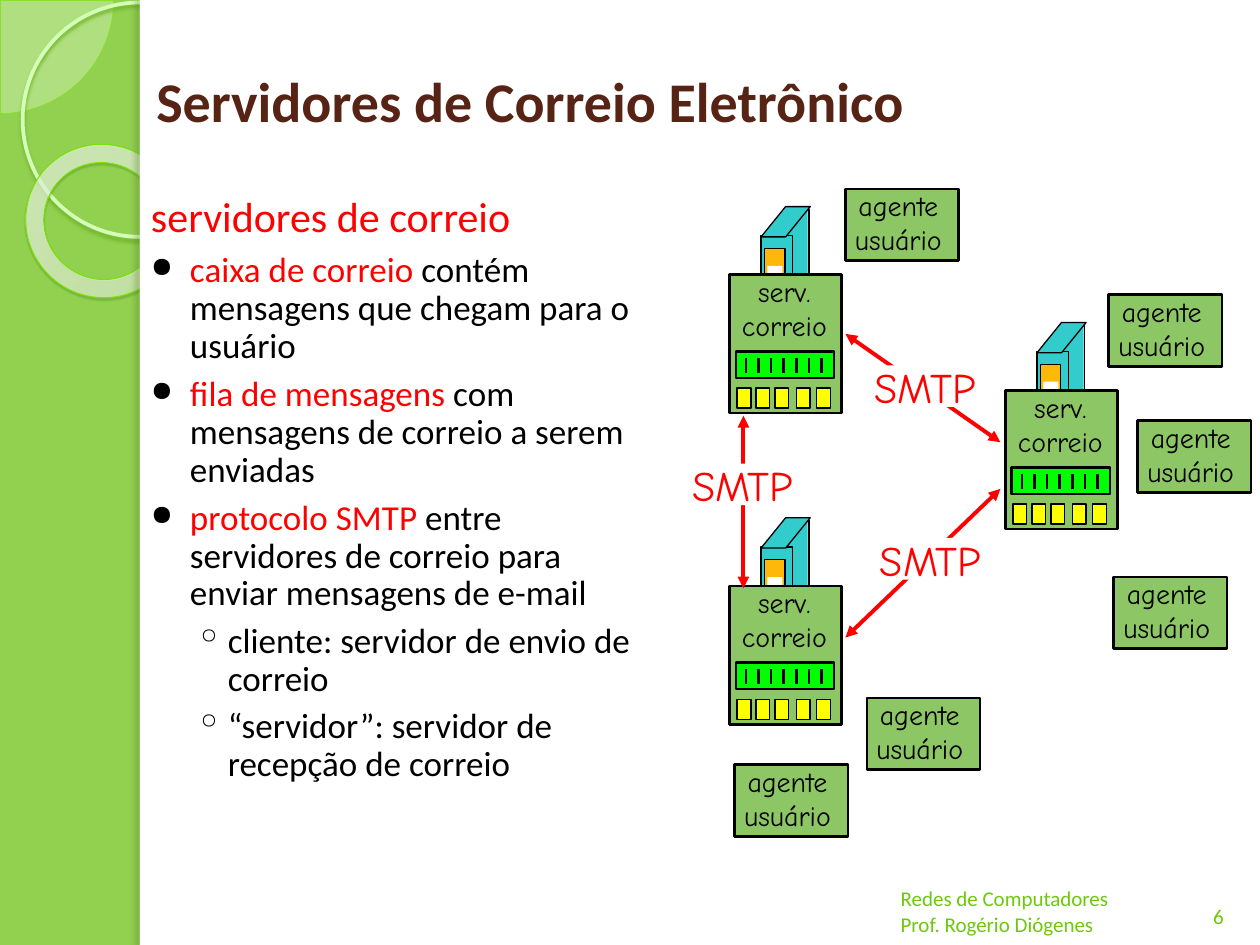
import pptx
import pptx.util
import pptx.dml.color
import pptx.enum.shapes
import pptx.enum.text
import pptx.oxml
import pptx.oxml.ns
from lxml import etree

RGB = pptx.dml.color.RGBColor
KIND = pptx.enum.shapes.MSO_SHAPE
ALIGN = pptx.enum.text.PP_ALIGN
ANCHOR = pptx.enum.text.MSO_ANCHOR
Pt = pptx.util.Pt
qn = pptx.oxml.ns.qn

EMU_PER_PX = 9144  # 100 px to the inch

BLACK, WHITE, RED = RGB(0, 0, 0), RGB(255, 255, 255), RGB(255, 0, 0)
BACKDROP, LEAF = RGB(0x92, 0xD0, 0x50), RGB(0xEE, 0xFF, 0xE4)
LEAF_EDGE, RING, DONUT_EDGE = RGB(0x7F, 0xE9, 0x0E), RGB(0xD3, 0xFF, 0xB6), RGB(0x77, 0xE4, 0x03)
TITLE_BROWN, FOOTER_GREEN = RGB(0x57, 0x23, 0x14), RGB(0x6D, 0xC9, 0x0C)
TOWER, DRIVE, BOX = RGB(0x33, 0xCC, 0xCC), RGB(0xFE, 0xB8, 0x0A), RGB(0x8D, 0xC7, 0x65)
DISPLAY, KEY = RGB(0, 255, 0), RGB(255, 255, 0)
BODY_FONT, DIAGRAM_FONT = "Calibri", "Comic Neue"

# Content
TITLE = "Servidores de Correio Eletrônico"
FOOTER = ["Redes de Computadores", "Prof. Rogério Diógenes"]
PAGE = "6"
# (style, red words, black words)
POINTS = [
    ("heading", "servidores de correio", ""),
    ("bullet", "caixa de correio", " contém mensagens que chegam para o usuário"),
    ("bullet", "fila de mensagens", " com mensagens de correio a serem enviadas"),
    ("bullet", "protocolo SMTP", " entre servidores de correio para enviar mensagens de e-mail"),
    ("sub", "", "cliente: servidor de envio de correio"),
    ("sub", "", "“servidor”: servidor de recepção de correio"),
]
# style: level, left margin, hanging indent, size, space before, bullet, bullet percent
STYLES = {
    "heading": (0, 40, 31, 24, 0, None, None),
    "bullet": (0, 40, 31, 20, 6, "●", 80),
    "sub": (1, 70, 26, 20, 5.5, "◦", 100),
}
SERVER_LINES, AGENT_LINES, LINK_LINES = ["serv.", "correio"], ["agente", "usuário"], ["SMTP"]
SERVERS = [(798, 310), (579, 465), (579, 218)]
AGENTS = [(903, 334), (880, 234), (884, 458), (671, 150), (688, 554), (583, 607)]
LINKS = [((671, 265), (794, 351)), ((671, 506), (794, 388)), ((590, 467), (590, 330))]
LINK_LABELS = [(691, 427), (687, 290), (542, 368)]
TICKS = [13 + 10 * i for i in range(7)]
KEYS = [6, 21, 36, 53, 69]


def px(*lengths):
    return [pptx.util.Emu(round(n * EMU_PER_PX)) for n in lengths]


def add_block(parent, kind, place, fill=None, edge=None, weight=0.75):
    block = parent.add_shape(kind, *px(*place))
    block.shadow.inherit = False
    if fill is None:
        block.fill.background()
    else:
        block.fill.solid()
        block.fill.fore_color.rgb = fill
    if edge is None:
        block.line.fill.background()
    else:
        block.line.color.rgb = edge
        block.line.width = Pt(weight)
    return block


def add_line(parent, start, end, color, weight, arrows=False):
    line = parent.add_connector(pptx.enum.shapes.MSO_CONNECTOR.STRAIGHT, *px(*start, *end))
    line.line.color.rgb = color
    line.line.width = Pt(weight)
    if arrows:
        for tag in ("a:headEnd", "a:tailEnd"):
            etree.SubElement(line.line._get_or_add_ln(), qn(tag), type="triangle")
    etree.SubElement(line.element.spPr, qn("a:effectLst"))


def add_run(paragraph, words, font, size, color):
    run = paragraph.add_run()
    run.text = words
    run.font.name, run.font.size, run.font.color.rgb = font, Pt(size), color
    return run


def add_text(parent, place, lines, font, size, color, align=ALIGN.CENTER, anchor=ANCHOR.TOP, wrap=False):
    frame = parent.add_textbox(*px(*place)).text_frame
    frame.word_wrap, frame.vertical_anchor = wrap, anchor
    if not wrap:
        frame.auto_size = pptx.enum.text.MSO_AUTO_SIZE.SHAPE_TO_FIT_TEXT
    for i, words in enumerate(lines):
        paragraph = frame.add_paragraph() if i else frame.paragraphs[0]
        paragraph.alignment = align
        add_run(paragraph, words, font, size, color)


def add_xml(parent, xml):
    parent.append(pptx.oxml.parse_xml(xml.replace(">", f' {pptx.oxml.ns.nsdecls("a")}>', 1)))


def add_shadow(block, color, alpha, blur, dist, angle):
    block.element.spPr.remove(block.element.spPr.find(qn("a:effectLst")))
    add_xml(block.element.spPr,
            f'<a:effectLst><a:outerShdw blurRad="{Pt(blur)}" dist="{Pt(dist)}" dir="{angle * 60000}" '
            f'algn="tl" rotWithShape="0"><a:srgbClr val="{color}"><a:alpha val="{alpha * 1000}"/>'
            '</a:srgbClr></a:outerShdw></a:effectLst>')


def add_decoration(shapes):
    leaf = add_block(shapes, KIND.PIE, (-89, -89, 179, 179), LEAF, LEAF_EDGE, 0.25)
    leaf.adjustments[0], leaf.adjustments[1] = 0, 54
    leaf_color = leaf.element.spPr.find(qn("a:solidFill"))[0]
    etree.SubElement(leaf_color, qn("a:alpha"), val="33000")

    ring = add_block(shapes, KIND.OVAL, (18, 2, 186, 186), None, RING, 2.15)
    add_shadow(ring, "6DB224", 85, 2, 2, 90)

    donut = add_block(shapes, KIND.DONUT, (20, 115, 123, 121), LEAF, DONUT_EDGE, 0.58)
    donut.adjustments[0], donut.rotation = 0.12, 38.6
    add_shadow(donut, "366406", 35, 1, 1.2, 75)
    stops = "".join(
        f'<a:gs pos="{pos}000"><a:srgbClr val="{color}"><a:alpha val="{alpha}000"/></a:srgbClr></a:gs>'
        for pos, color, alpha in [(0, "F4FFEE", 70), (70, "FAFFF6", 55), (100, "83FE00", 60)])
    solid = donut.element.spPr.find(qn("a:solidFill"))
    solid.addprevious(pptx.oxml.parse_xml(
        f'<a:gradFill {pptx.oxml.ns.nsdecls("a")} rotWithShape="1"><a:gsLst>{stops}</a:gsLst><a:path path="circle">'
        '<a:fillToRect l="-408000" t="-50000" r="508000" b="150000"/></a:path></a:gradFill>'))
    donut.element.spPr.remove(solid)

    add_block(shapes, KIND.RECTANGLE, (111, 0, 889, 750), WHITE)
    panel_edge = add_block(shapes, KIND.RECTANGLE, (111, 0, 8, 750), WHITE)
    add_shadow(panel_edge, "496A25", 25, 3, 3, 180)


def add_points(shapes):
    frame = shapes.add_textbox(*px(101, 151, 430, 508)).text_frame
    frame.word_wrap = True
    for i, (style, red_words, black_words) in enumerate(POINTS):
        level, margin, hang, size, before, bullet, percent = STYLES[style]
        paragraph = frame.add_paragraph() if i else frame.paragraphs[0]
        paragraph.level, paragraph.line_spacing, paragraph.space_before = level, 0.9, Pt(before)
        props = paragraph._p.get_or_add_pPr()
        props.set("marL", str(px(margin)[0]))
        props.set("indent", str(px(-hang)[0]))
        if bullet:
            add_xml(props, f'<a:buClr><a:srgbClr val="{BLACK}"/></a:buClr>')
            etree.SubElement(props, qn("a:buSzPct"), val=str(percent * 1000))
            etree.SubElement(props, qn("a:buChar"), char=bullet)
        for words, color in ((red_words, RED), (black_words, BLACK)):
            if words:
                add_run(paragraph, words, BODY_FONT, size, color)


def add_server(shapes, x, y):
    server = shapes.add_group_shape().shapes
    # Tower behind the body
    add_block(server, KIND.RECTANGLE, (x + 44, y - 53, 18, 78), TOWER)
    add_block(server, KIND.RECTANGLE, (x + 25, y - 31, 25, 78), TOWER, BLACK)
    add_block(server, KIND.PARALLELOGRAM, (x + 25, y - 54, 39, 24), TOWER, BLACK).adjustments[0] = 0.81
    add_line(server, (x + 63, y - 52), (x + 63, y + 24), BLACK, 0.75)
    add_block(server, KIND.RECTANGLE, (x + 28, y - 21, 16, 45), DRIVE, BLACK)
    add_block(server, KIND.RECTANGLE, (x + 30, y - 7, 12, 16), WHITE)
    # Body with display and keys
    add_block(server, KIND.RECTANGLE, (x, y, 89, 110), BOX, BLACK, 1.5)
    add_text(server, (x - 4, y - 5, 95, 64), SERVER_LINES, DIAGRAM_FONT, 16, BLACK)
    add_block(server, KIND.RECTANGLE, (x + 5, y + 61, 78, 21), DISPLAY, BLACK, 1.5)
    for tick in TICKS:
        add_line(server, (x + tick, y + 66), (x + tick, y + 78), BLACK, 1.5)
    for key in KEYS:
        add_block(server, KIND.RECTANGLE, (x + key, y + 90, 11, 16), KEY, BLACK)


def main():
    deck = pptx.Presentation()
    deck.slide_width, deck.slide_height = px(1000, 750)
    slide = deck.slides.add_slide(deck.slide_layouts[5])
    slide.background.fill.solid()
    slide.background.fill.fore_color.rgb = BACKDROP
    shapes = slide.shapes
    add_decoration(shapes)

    # Title, brought in front of the white panel
    title = shapes.title
    shapes.element.append(title.element)
    title.left, title.top, title.width, title.height = px(114, 17, 870, 125)
    title.text_frame.vertical_anchor = ANCHOR.MIDDLE
    heading = title.text_frame.paragraphs[0]
    heading.alignment = ALIGN.LEFT
    add_run(heading, TITLE, BODY_FONT, 32, TITLE_BROWN).font.bold = True

    # Footer and bullet list
    add_text(shapes, (942, 690, 50, 52), [PAGE], BODY_FONT, 12, FOOTER_GREEN, anchor=ANCHOR.BOTTOM, wrap=True)
    add_text(shapes, (705, 696, 276, 52), FOOTER, BODY_FONT, 12, FOOTER_GREEN, ALIGN.LEFT, ANCHOR.BOTTOM, True)
    add_points(shapes)

    # Diagram
    for x, y in SERVERS:
        add_server(shapes, x, y)
    for start, end in LINKS:
        add_line(shapes, start, end, RED, 2.25, arrows=True)
    for x, y in LINK_LABELS:
        label = shapes.add_group_shape().shapes
        add_block(label, KIND.RECTANGLE, (x, y, 94, 33), WHITE)
        add_text(label, (x - 9, y - 8, 113, 50), LINK_LINES, DIAGRAM_FONT, 24, RED)
    for x, y in AGENTS:
        agent = shapes.add_group_shape().shapes
        add_block(agent, KIND.RECTANGLE, (x, y, 90, 57), BOX, BLACK, 1.5)
        add_text(agent, (x - 5, y - 5, 94, 64), AGENT_LINES, DIAGRAM_FONT, 16, BLACK)

    deck.save("out.pptx")


if __name__ == "__main__":
    main()
